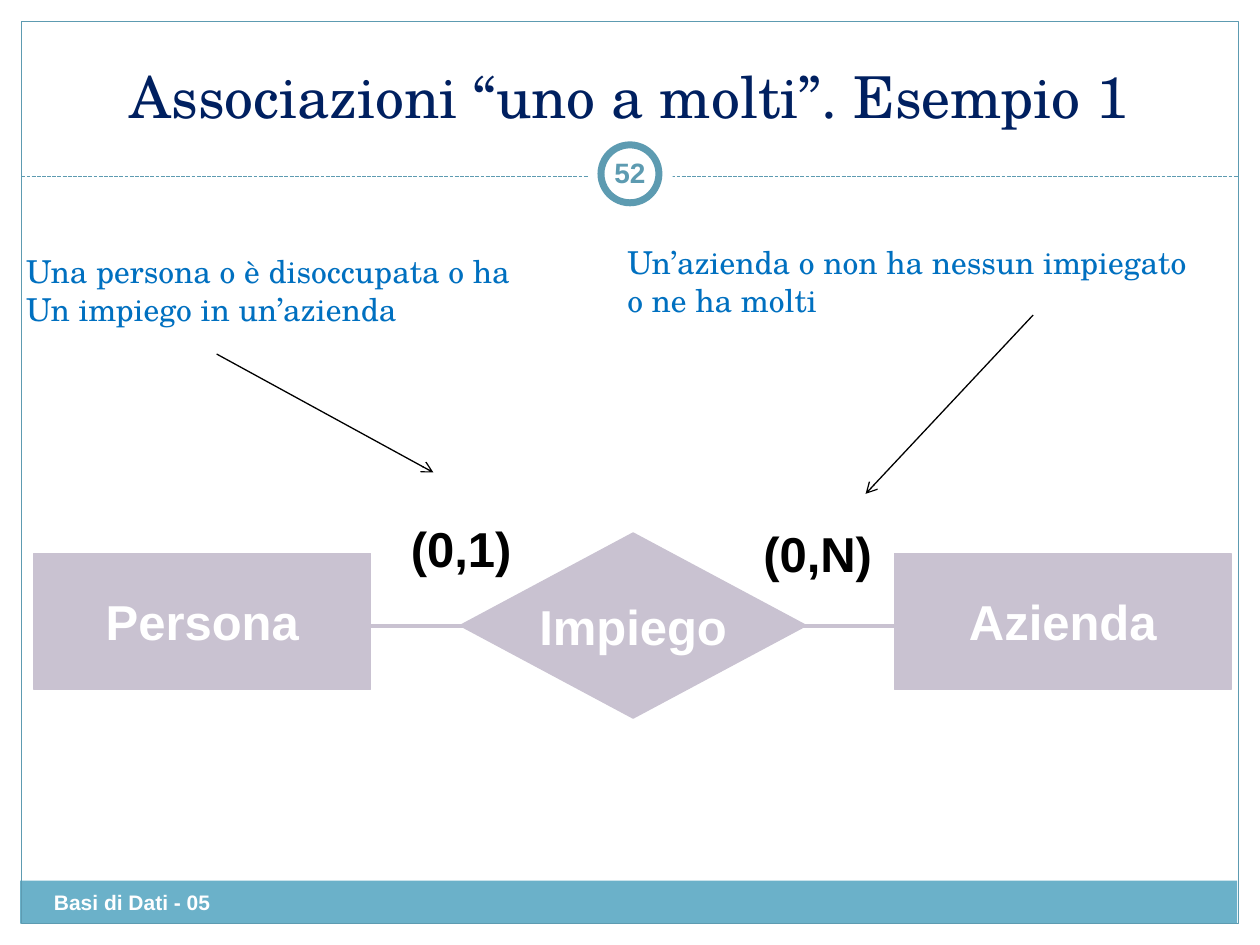
"""Builds the slide on one-to-many associations, with its entity-relationship diagram."""
from lxml import etree
from pptx import Presentation
from pptx.dml.color import RGBColor
from pptx.enum import dml, shapes, text
from pptx.oxml import ns
from pptx.util import Inches, Pt

SERIF, SANS = "TeX Gyre Schola", "Arial"
TEAL, LILAC, WHITE = "5D9BB1", "C9C2D1", "FFFFFF"
KIND = shapes.MSO_SHAPE
LEFT, MID = text.PP_ALIGN.LEFT, text.PP_ALIGN.CENTER
TOP, HALF = text.MSO_ANCHOR.TOP, text.MSO_ANCHOR.MIDDLE
rgb = RGBColor.from_string


def write(shape, words, size, face, color, align=MID, anchor=HALF, wrap=False):
    frame = shape.text_frame
    frame.text = words
    frame.word_wrap = wrap
    frame.vertical_anchor = anchor
    for para in frame.paragraphs:
        para.alignment = align
        font = para.font
        font.size, font.name, font.bold = Pt(size), face, face == SANS
        font.color.rgb = rgb(color)


def join(x1, y1, x2, y2, color, width):
    line = slide.shapes.add_connector(
        shapes.MSO_CONNECTOR.STRAIGHT, *map(Inches, (x1, y1, x2, y2)))
    line.line.color.rgb = rgb(color)
    line.line.width = Pt(width)
    etree.SubElement(line._element.spPr, ns.qn("a:effectLst"))
    return line


deck = Presentation()
deck.slide_width, deck.slide_height = Inches(10), Inches(7.5)
slide = deck.slides.add_slide(deck.slide_layouts[5])

title = slide.shapes.title
title.left, title.top, title.width, title.height = map(Inches, (0.33, 0.25, 9.33, 0.83))
write(title, "Associazioni “uno a molti”. Esempio 1", 33, SERIF, "002060",
      anchor=text.MSO_ANCHOR.BOTTOM, wrap=True)

rule = join(0.17, 1.4, 9.83, 1.4, TEAL, 0.75)
rule.line.dash_style = dml.MSO_LINE.SQUARE_DOT
join(2.77, 4.97, 7.35, 4.97, LILAC, 2.25)

for kind, box, fill, edge, width, words in (
    (KIND.RECTANGLE, (0.16, 6.99, 9.66, 0.34), "6BB1C9", None, 0, ""),
    (KIND.RECTANGLE, (0.17, 0.17, 9.66, 7.16), None, TEAL, 0.75, ""),
    (KIND.OVAL, (4.67, 1.05, 0.67, 0.67), WHITE, None, 0, ""),
    (KIND.OVAL, (4.77, 1.15, 0.46, 0.46), WHITE, TEAL, 4, ""),
    (KIND.DIAMOND, (3.65, 4.23, 2.75, 1.47), LILAC, LILAC, 0.75, "Impiego"),
    (KIND.RECTANGLE, (0.27, 4.39, 2.67, 1.08), LILAC, LILAC, 0.75, "Persona"),
    (KIND.RECTANGLE, (7.1, 4.39, 2.67, 1.08), LILAC, LILAC, 0.75, "Azienda"),
):
    shape = slide.shapes.add_shape(kind, *map(Inches, box))
    shape.shadow.inherit = False
    if fill:
        shape.fill.solid()
        shape.fill.fore_color.rgb = rgb(fill)
    else:
        shape.fill.background()
    if edge:
        shape.line.color.rgb = rgb(edge)
        shape.line.width = Pt(width)
    else:
        shape.line.fill.background()
    if words:
        write(shape, words, 28, SANS, WHITE)

for box, words, *style in (
    ((0.33, 7.01, 3.92, 0.4), "Basi di Dati - 05", 12, SANS, WHITE, LEFT, TOP, True),
    ((4.75, 1.13, 0.5, 0.48), "52", 16, SANS, TEAL),
    ((3.16, 4.06, 1, 0.57), "(0,1)", 28, SANS, "000000"),
    ((5.96, 4.1, 1.06, 0.57), "(0,N)", 28, SANS, "000000"),
    ((0.11, 1.95, 4.17, 0.7), "Una persona o è disoccupata o ha\nUn impiego in un’azienda",
     18, SERIF, "0070C0", LEFT, TOP),
    ((4.88, 1.88, 4.81, 0.7), "Un’azienda o non ha nessun impiegato\no ne ha molti",
     18, SERIF, "0070C0", LEFT, TOP),
):
    write(slide.shapes.add_textbox(*map(Inches, box)), words, *style)

for ends in ((1.72, 2.81, 3.44, 3.75), (8.2, 2.5, 6.87, 3.92)):
    arrow = join(*ends, "000000", 0.75)
    etree.SubElement(arrow.line._get_or_add_ln(), ns.qn("a:tailEnd"), type="arrow")

deck.save("out.pptx")
